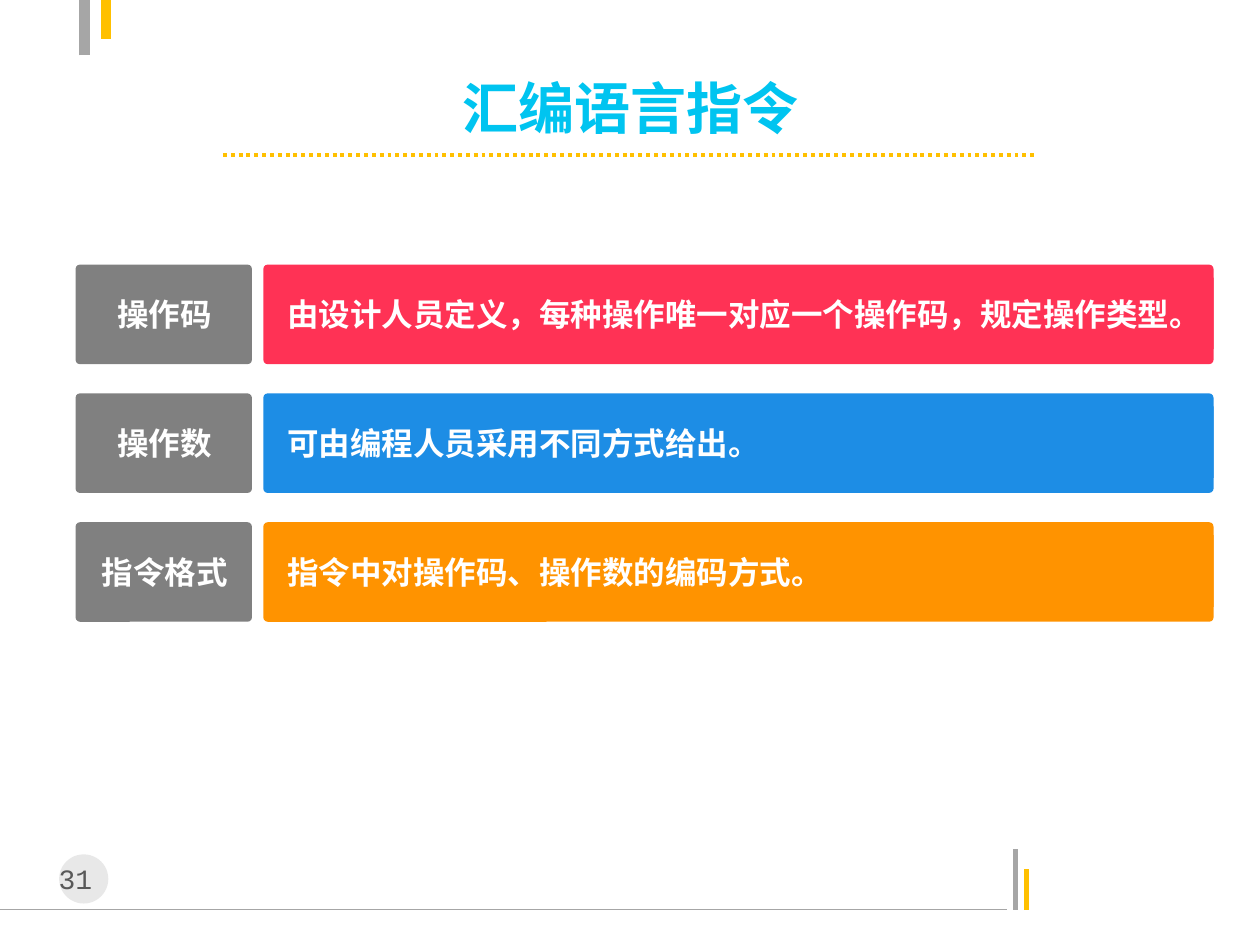
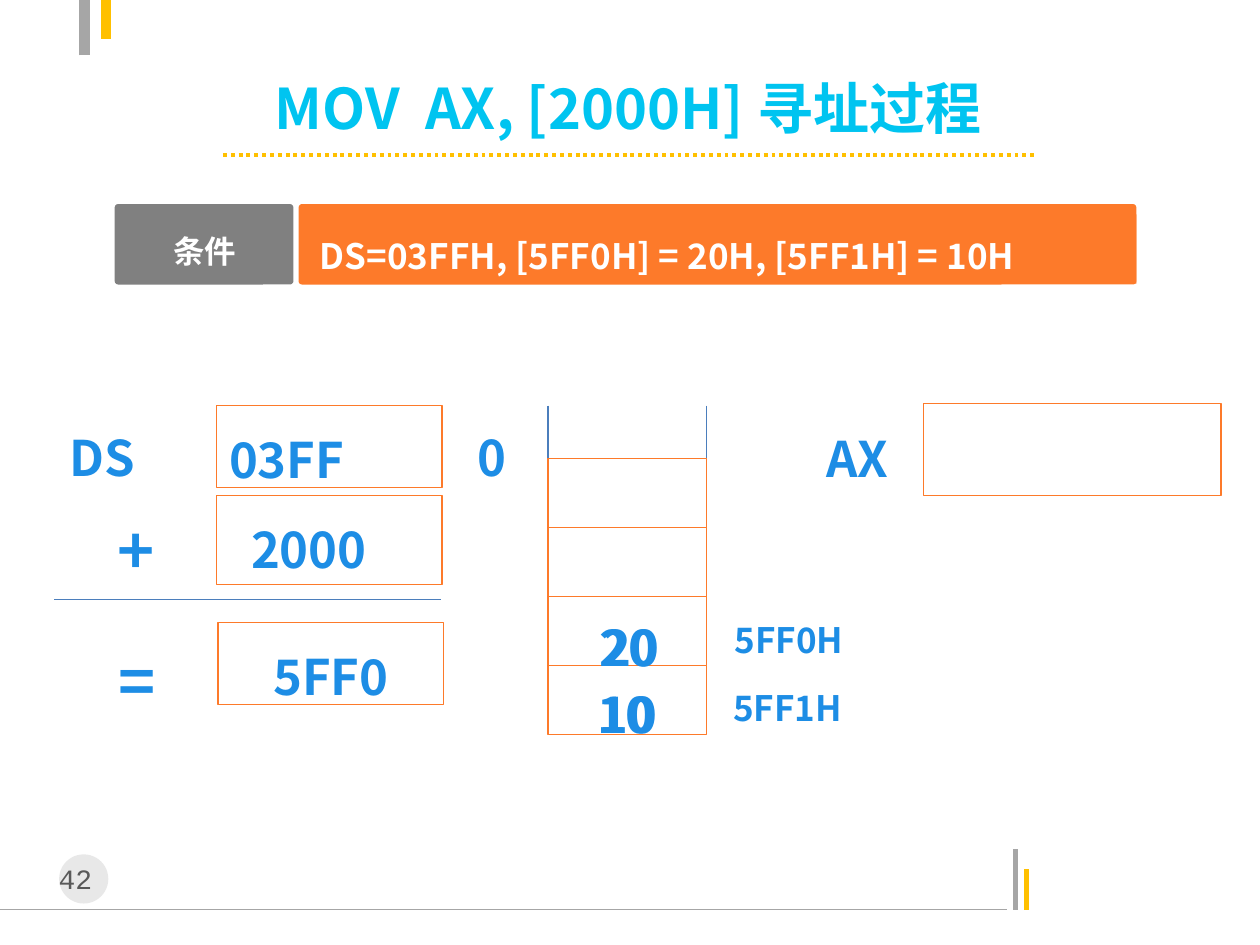
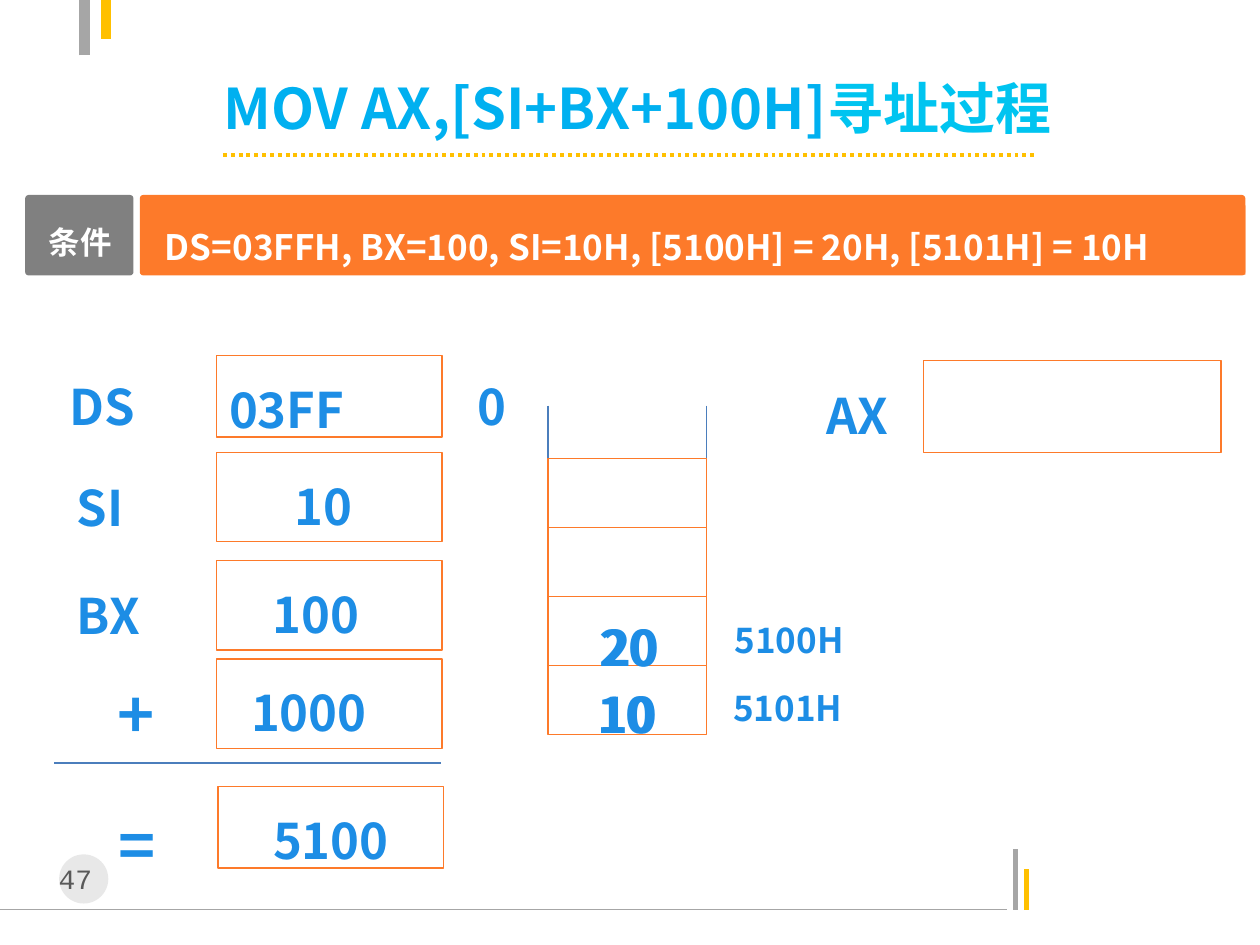
from lxml import etree
from pptx import Presentation
from pptx.dml.color import RGBColor
from pptx.enum import dml, shapes, text
from pptx.oxml.ns import qn
from pptx.util import Pt

rgb = RGBColor.from_string
GREY, GOLD, CYAN, SKY = "A6A6A6", "FFC000", "00C4F0", "00B0F0"
LABEL, RED, BLUE, AMBER, ORANGE = "808080", "FF3255", "1D8DE5", "FF9300", "FD7A2A"
WHITE, STEEL = "FFFFFF", "4B7EBC"
RECT, ROUND, OVAL = (shapes.MSO_SHAPE.RECTANGLE, shapes.MSO_SHAPE.ROUNDED_RECTANGLE,
                     shapes.MSO_SHAPE.OVAL)
LEFT, CENTER = text.PP_ALIGN.LEFT, text.PP_ALIGN.CENTER
FIT, FIXED = text.MSO_AUTO_SIZE.SHAPE_TO_FIT_TEXT, text.MSO_AUTO_SIZE.NONE
TOP, MIDDLE = text.MSO_ANCHOR.TOP, text.MSO_ANCHOR.MIDDLE


def line(slide, x1, y1, x2, y2, color, width):
    rule = slide.shapes.add_connector(
        shapes.MSO_CONNECTOR.STRAIGHT, Pt(x1), Pt(y1), Pt(x2), Pt(y2))
    rule.line.color.rgb, rule.line.width = rgb(color), Pt(width)
    etree.SubElement(rule._element.spPr, qn("a:effectLst"))
    return rule


def box(slide, x, y, w, h, runs=(), kind=None, fill=None, border=None, size=28,
        font="Noto Sans CJK SC", bold=True, align=LEFT, spacing=1.3, after=0,
        indent=0, **frame_format):
    """Add a shape, or a text box when kind is None; runs are (text, colour)."""
    area = Pt(x), Pt(y), Pt(w), Pt(h)
    if kind is None:
        item = slide.shapes.add_textbox(*area)
    else:
        item = slide.shapes.add_shape(kind, *area)
        item.shadow.inherit = False
        if fill:
            item.fill.solid()
            item.fill.fore_color.rgb = rgb(fill)
        else:
            item.fill.background()
        if border:
            item.line.color.rgb, item.line.width = rgb(border), Pt(0.75)
        else:
            item.line.fill.background()
        if kind == ROUND:
            item.adjustments[0] = 0.044
    if runs:
        frame = item.text_frame
        look = dict(word_wrap=True, auto_size=FIT, vertical_anchor=TOP,
                    margin_left=Pt(7.2 + indent))
        for name, value in {**look, **frame_format}.items():
            setattr(frame, name, value)
        paragraph = frame.paragraphs[0]
        for name, value in dict(alignment=align, line_spacing=spacing,
                                space_after=Pt(after)).items():
            setattr(paragraph, name, value)
        for words, color in runs:
            run = paragraph.add_run()
            run.text = words
            for name, value in dict(name=font, size=Pt(size), bold=bold).items():
                setattr(run.font, name, value)
            run.font.color.rgb = rgb(color)
            if font != "Courier New":
                etree.SubElement(run.font._element, qn("a:ea"), typeface=font)
    return item


# Bands: label x, label width, text x, text width, top, height, pad, size, spacing
definitions = [
    ("操作码", "由设计人员定义，每种操作唯一对应一个操作码，规定操作类型。", RED),
    ("操作数", "可由编程人员采用不同方式给出。", BLUE),
    ("指令格式", "指令中对操作码、操作数的编码方式。", AMBER),
]
definition_bands = [
    (*entry, 43.2, 100.8, 150.5, 543, 151.2 + 73.6 * i, 56.9, 6.5, 18, 1.3)
    for i, entry in enumerate(definitions)]

# Register rows: label, label x, label offset, label size, value, top, height, indent
pages = [
    dict(number="31", title=[("汇编语言指令", CYAN)], title_x=99.4, title_w=522,
         bands=definition_bands),
    dict(number="42", title=[("MOV  AX, [2000H] 寻址过程", CYAN)],
         title_x=63.4, title_w=591,
         bands=[("条件", "DS=03FFH, [5FF0H] = 20H, [5FF1H] = 10H", ORANGE,
                 65.5, 102.2, 170.6, 478.8, 116.6, 46, 5, 20, 1.33)],
         registers=[("DS", 32.7, -1.4, 28, "03FF", 231.8, 46.8, 0),
                    ("+", 59.8, -7.2, 36, "2000", 283, 51.1, 12.5)],
         total="5FF0", total_y=355.7, ax_y=230.4, addresses=["5FF0H", "5FF1H"]),
    dict(number="47", title=[("MOV AX,[SI+BX+100H]", SKY), ("寻址过程", CYAN)],
         title_x=79.9, title_w=568.8,
         bands=[("条件", "DS=03FFH, BX=100, SI=10H, [5100H] = 20H, [5101H] = 10H",
                 ORANGE, 14.4, 61.9, 79.9, 631.8, 111.4, 46, 7.2, 20, 1.33)],
         registers=[("DS", 32.7, -1.4, 28, "03FF", 203, 46.8, 0),
                    ("SI", 36.7, 0.7, 28, "10", 258.5, 51.1, 37.5),
                    ("BX", 36.7, 0.7, 28, "100", 320.4, 51.1, 25),
                    ("+", 59.8, -7.2, 36, "1000", 376.6, 51.1, 12.5)],
         total="5100", total_y=449.3, ax_y=205.9, addresses=["5100H", "5101H"]),
]
corner_lines = [
    (0, 519.8, 575.3, 519.8, GREY, 0.75),
    (580.3, 519.8, 580.3, 485.3, GREY, 3),
    (586.8, 519.8, 586.8, 496.8, GOLD, 3),
    (48.2, 31.7, 48.2, -2.2, GREY, 6),
    (60.5, 0, 60.5, 22.3, GOLD, 6),
]
MEMORY_X, MEMORY_W, CELL_Y, CELL_H = 313.2, 90.7, 262.1, 39.4

deck = Presentation()
deck.slide_width, deck.slide_height = Pt(720), Pt(540)

for page in pages:
    slide = deck.slides.add_slide(deck.slide_layouts[6])

    # Corner marks, page number and title
    for mark in corner_lines:
        line(slide, *mark)
    disc = box(slide, 33.8, 488.2, 28.1, 28.1, kind=OVAL, fill="BFBFBF")
    tint = disc._element.spPr.find(qn("a:solidFill"))[0]
    etree.SubElement(tint, qn("a:alpha"), val="35000")
    box(slide, 17.6, 488.9, 51, 26.6, [(page["number"], "595959")], size=16,
        font="Courier New", bold=False, align=CENTER, spacing=1.0)
    box(slide, page["title_x"], 43.2, page["title_w"], 36, page["title"], size=32,
        align=CENTER, spacing=1.0, word_wrap=False, auto_size=FIXED,
        vertical_anchor=MIDDLE)
    dots = line(slide, 127.4, 88.6, 592.6, 88.6, GOLD, 2.25)
    dots.line.dash_style = dml.MSO_LINE.ROUND_DOT

    # Labelled bands
    for (label, words, color, label_x, label_w, text_x, text_w, top, height,
         pad, size, spacing) in page["bands"]:
        text_y = top + height * 0.13
        text_h = height * 0.86 if size == 20 else height * 0.72
        box(slide, label_x, top, label_w, height, kind=ROUND, fill=LABEL)
        box(slide, label_x + 1.5, text_y, label_w - 2, 33, [(label, WHITE)],
            size=18, align=CENTER)
        box(slide, text_x, top, text_w, height, kind=ROUND, fill=color)
        box(slide, text_x + pad, text_y, text_w - pad, text_h, [(words, WHITE)],
            kind=RECT, fill=color, size=size, spacing=spacing)

    if "registers" not in page:
        continue

    # Memory column with its two addressed bytes
    for edge_x in (MEMORY_X, MEMORY_X + MEMORY_W):
        line(slide, edge_x, 231.8, edge_x, 419, STEEL, 0.75)
    for i in range(4):
        box(slide, MEMORY_X, CELL_Y + i * CELL_H, MEMORY_W, CELL_H, kind=RECT,
            fill=WHITE, border=ORANGE)
    for i, (byte, address) in enumerate(zip(("20", "10"), page["addresses"])):
        box(slide, 412.6 - 0.7 * i, 342.7 + 38.9 * i, 95, 36, [(address, BLUE)],
            size=20, after=0.6)
        for byte_x in (335.5, 337):
            box(slide, byte_x - 1.4 * i, 339.1 + 38.2 * i, 62.6, 46.8,
                [(byte, BLUE)], after=0.6)

    # Destination register
    box(slide, 527.8, page["ax_y"], 169.9, 52.6, kind=RECT, fill=WHITE, border=ORANGE)
    box(slide, 465.1, page["ax_y"] + 1, 62.6, 51.1, [("AX", BLUE)], after=0.6)

    # Address sum: segment, offsets and result
    for label, label_x, shift, size, value, top, height, indent in page["registers"]:
        box(slide, label_x, top + shift, 67, 51.1, [(label, BLUE)], size=size, after=0.6)
        box(slide, 123.8, top, 128.9, height, [(value, BLUE)], kind=RECT,
            border=ORANGE, after=0.6, indent=indent)
    segment_y = page["registers"][0][5]
    box(slide, 265.7, segment_y - 1.4, 38.2, 51.1, [("0", BLUE)], after=0.6)
    total_y = page["total_y"]
    line(slide, 31, total_y - 13.2, 252, total_y - 13.2, STEEL, 0.75)
    box(slide, 60.5, total_y - 5, 43.2, 58.3, [("=", BLUE)], size=36, after=0.6)
    box(slide, 124.6, total_y, 128.9, 46.8, [(page["total"], BLUE)], kind=RECT,
        border=ORANGE, align=CENTER, after=0.6)

deck.save("out.pptx")
